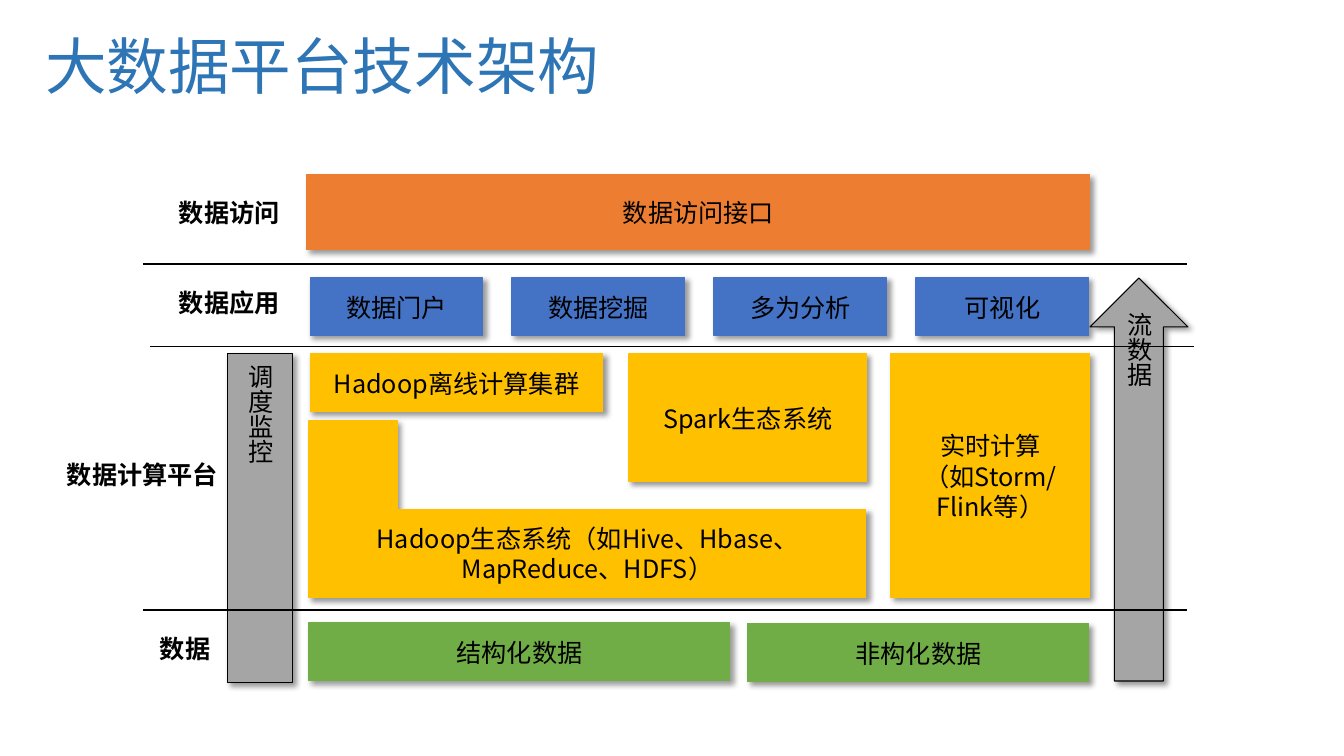
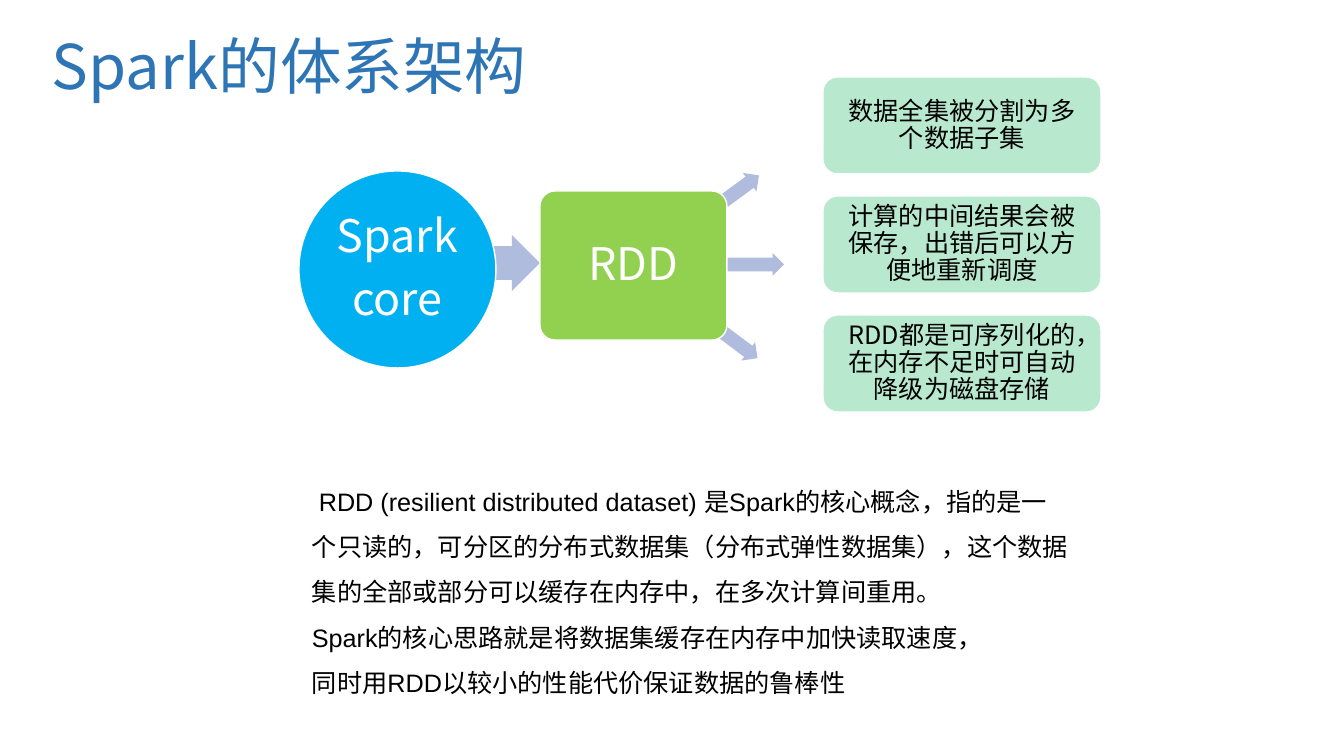
"""Build two slides on big data platform architecture and Spark."""
from lxml import etree
from pptx import Presentation, util as u
from pptx.dml.color import RGBColor
from pptx.enum import shapes, text
from pptx.oxml import parse_xml
from pptx.oxml.ns import nsdecls, qn

PX = 914400 / 100.8
CJK = "Noto Sans CJK SC"
BLACK = RGBColor(0x00, 0x00, 0x00)
WHITE = RGBColor(0xFF, 0xFF, 0xFF)
TITLE_BLUE = RGBColor(0x2E, 0x75, 0xB6)
ORANGE = RGBColor(0xED, 0x7D, 0x31)
BLUE = RGBColor(0x44, 0x72, 0xC4)
GOLD = RGBColor(0xFF, 0xC0, 0x00)
GREEN = RGBColor(0x70, 0xAD, 0x47)
GREY = RGBColor(0xA5, 0xA5, 0xA5)
LAVENDER = RGBColor(0xB0, 0xBC, 0xDE)
SKY = RGBColor(0x00, 0xB0, 0xF0)
LIME = RGBColor(0x92, 0xD0, 0x50)
EMERALD = RGBColor(0x00, 0xB0, 0x50)
MSO = shapes.MSO_SHAPE
ALIGN = text.PP_ALIGN
SHADOW = (
    f'<a:effectLst {nsdecls("a")}><a:outerShdw blurRad="50800" dist="38100" '
    'dir="2700000" algn="tl" rotWithShape="0"><a:srgbClr val="000000">'
    '<a:alpha val="40000"/></a:srgbClr></a:outerShdw></a:effectLst>'
)


def write(sp, content, size=18, color=BLACK, latin=CJK, bold=False,
          align=ALIGN.LEFT, spacing=1.0, gap=0, inset=None):
    """Fill a shape with styled paragraphs."""
    tf = sp.text_frame
    tf.text = content
    tf.word_wrap = True
    if inset is not None:
        tf.margin_left = tf.margin_right = round(inset * PX)
        tf.margin_top = tf.margin_bottom = round(inset * PX)
    for i, p in enumerate(tf.paragraphs):
        p.alignment = align
        p.line_spacing = spacing
        if i:
            p.space_before = u.Pt(gap)
        for r in p.runs:
            r.font.size = u.Pt(size)
            r.font.bold = bold
            r.font.color.rgb = color
            r.font.name = latin
    for rPr in sp.element.iter(qn("a:rPr")):
        etree.SubElement(rPr, qn("a:ea"), typeface=CJK)


def block(s, kind, box, fill, line=None, width=0.75):
    """Add a filled preset shape without a shadow."""
    sp = s.shapes.add_shape(kind, *(round(v * PX) for v in box))
    sp.shadow.inherit = False
    sp.fill.solid()
    sp.fill.fore_color.rgb = fill
    if line is None:
        sp.line.fill.background()
    else:
        sp.line.color.rgb = line
        sp.line.width = u.Pt(width)
    sp.text_frame.vertical_anchor = text.MSO_ANCHOR.MIDDLE
    return sp


prs = Presentation()
prs.slide_width = round(1344 * PX)
prs.slide_height = round(756 * PX)
slides = []
for title, left in (("大数据平台技术架构", 45), ("Spark的体系架构", 52)):
    s = prs.slides.add_slide(prs.slide_layouts[6])
    tb = s.shapes.add_textbox(*(round(v * PX) for v in (left, 36, 800, 67)))
    write(tb, title, 44, TITLE_BLUE, spacing=0.9, inset=0)
    slides.append(s)
platform, spark = slides

apps = ["数据门户", "数据挖掘", "多为分析", "可视化"]
blocks = [(MSO.RECTANGLE, (310 + 202 * i, 278, 173, 58), BLUE, app)
          for i, app in enumerate(apps)]
blocks += [
    (MSO.RECTANGLE, (307, 175, 783, 75), ORANGE, "数据访问接口"),
    (MSO.RECTANGLE, (310, 354, 293, 58), GOLD, "Hadoop离线计算集群"),
    (MSO.RECTANGLE, (629, 354, 238, 128), GOLD, "Spark生态系统"),
    (MSO.RECTANGLE, (891, 354, 199, 244), GOLD, "实时计算\n（如Storm/Flink等）"),
    (MSO.RECTANGLE, (309, 623, 421, 58), GREEN, "结构化数据"),
    (MSO.CORNER, (309, 421, 557, 177), GOLD,
     "Hadoop生态系统（如Hive、Hbase、MapReduce、HDFS）"),
    (MSO.RECTANGLE, (748, 624, 341, 58), GREEN, "非构化数据"),
    (MSO.RECTANGLE, (228, 354, 65, 329), GREY, "调度监控"),
    (MSO.UP_ARROW, (1090, 278, 98, 403), GREY, "流数据"),
]
for kind, box, fill, label in blocks:
    vertical = fill == GREY
    sp = block(platform, kind, box, fill, BLACK if vertical else fill)
    spPr = sp.element.spPr
    spPr.replace(spPr.find(qn("a:effectLst")), parse_xml(SHADOW))
    write(sp, label, align=ALIGN.CENTER)
    if vertical:
        sp.element.txBody.find(qn("a:bodyPr")).set("vert", "eaVert")

for left, y in ((143, 610), (150, 347), (143, 264)):
    cx = platform.shapes.add_connector(
        shapes.MSO_CONNECTOR.STRAIGHT,
        *(round(v * PX) for v in (left, y, left + 1044, y)))
    cx.line.color.rgb = BLACK
    cx.line.width = u.Pt(0.75)
    etree.SubElement(cx.element.spPr, qn("a:effectLst"))

for label, left, top, width in (
    ("数据访问", 169, 192, 149),
    ("数据应用", 169, 282, 149),
    ("数据计算平台", 57, 454, 186),
    ("数据", 150, 628, 89),
):
    tb = platform.shapes.add_textbox(
        *(round(v * PX) for v in (left, top, width, 40)))
    write(tb, label, bold=True)

for box, angle in (
    ((374, 235, 166, 56), 0),
    ((609, 213, 166, 23), -36.2),
    ((618, 253, 166, 23), 0),
    ((608, 297, 166, 23), 36.8),
):
    arrow = block(spark, MSO.RIGHT_ARROW, box, LAVENDER)
    arrow.adjustments[0] = 0.6
    arrow.adjustments[1] = 0.5
    arrow.rotation = angle

core = block(spark, MSO.OVAL, (299, 171, 197, 197), SKY, WHITE, 1)
write(core, "Spark\ncore", 32, WHITE, align=ALIGN.CENTER, spacing=0.9,
      gap=11, inset=0)
rdd = block(spark, MSO.ROUNDED_RECTANGLE, (540, 191, 187, 149), LIME, WHITE, 1)
rdd.adjustments[0] = 0.1
write(rdd, "RDD", 32, WHITE, align=ALIGN.CENTER, spacing=0.9, inset=10)

features = [
    "数据全集被分割为多个数据子集",
    "计算的中间结果会被保存，出错后可以方便地重新调度",
    "RDD都是可序列化的，在内存不足时可自动降级为磁盘存储",
]
for i, feature in enumerate(features):
    card = block(spark, MSO.ROUNDED_RECTANGLE, (823, 77 + 119 * i, 278, 97),
                 EMERALD, WHITE, 1)
    card.adjustments[0] = 0.15
    color = card.element.spPr.find(qn("a:solidFill"))[0]
    etree.SubElement(color, qn("a:alpha"), val="28000")
    write(card, feature, align=ALIGN.CENTER, spacing=0.9, inset=10)

tb = spark.shapes.add_textbox(*(round(v * PX) for v in (302, 466, 778, 285)))
write(tb, " RDD (resilient distributed dataset) 是Spark的核心概念，指的是一个只读的，"
      "可分区的分布式数据集（分布式弹性数据集），这个数据集的全部或部分可以缓存在内存中，"
      "在多次计算间重用。\n"
      "Spark的核心思路就是将数据集缓存在内存中加快读取速度，\n"
      "同时用RDD以较小的性能代价保证数据的鲁棒性", latin="Arial", spacing=1.5)

prs.save("out.pptx")
